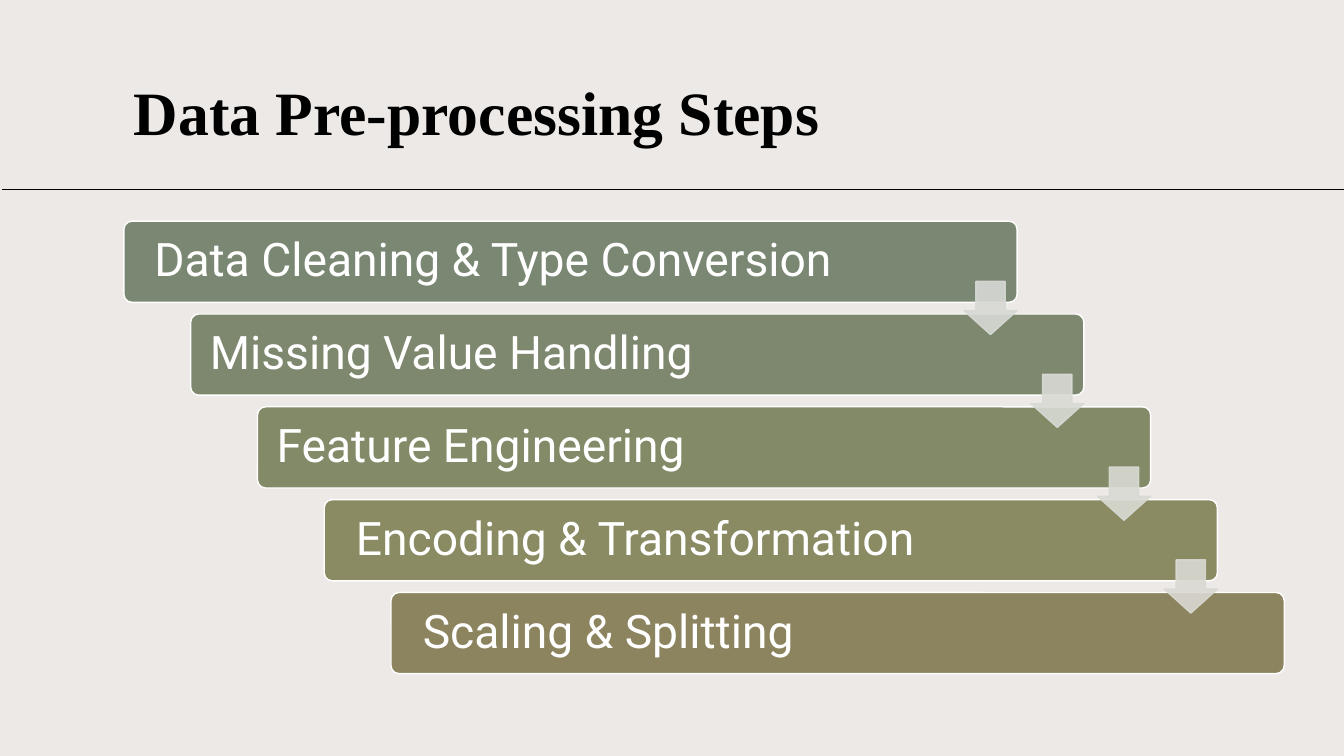
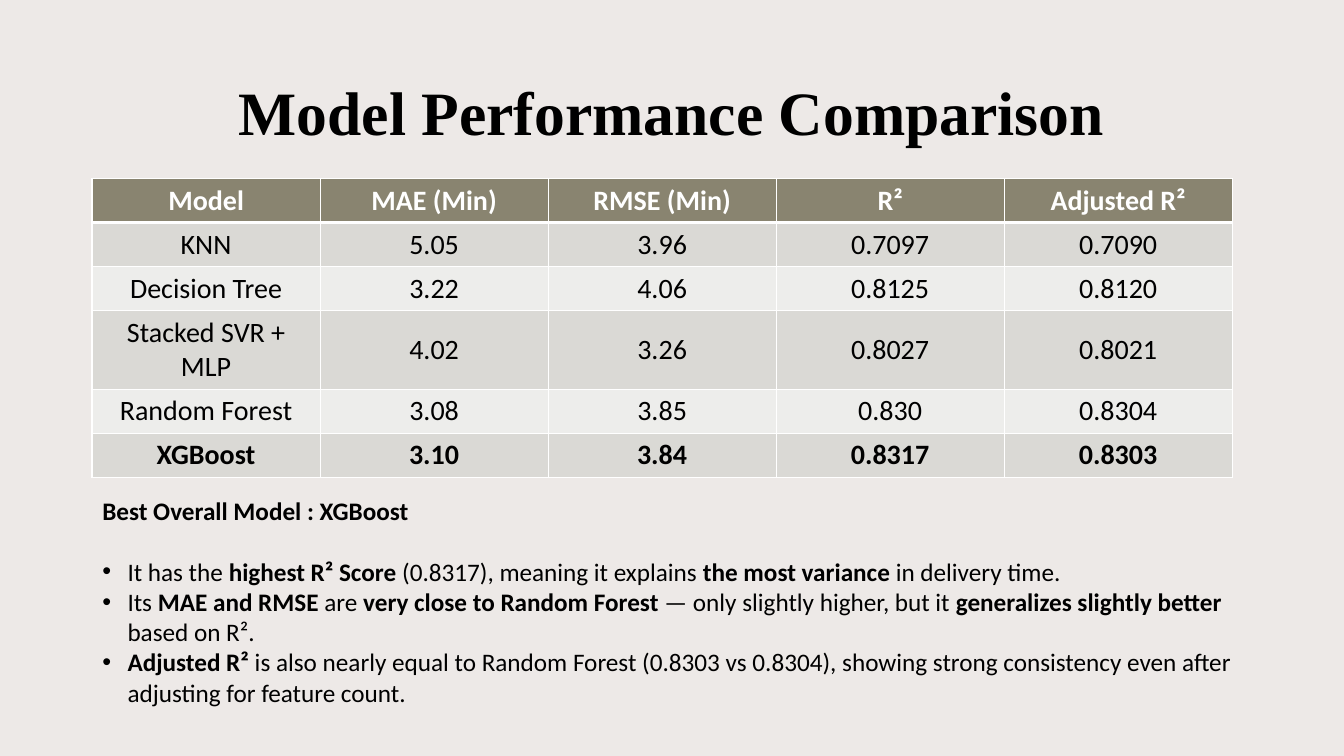
import pptx
import pptx.dml.color
import pptx.enum.shapes
import pptx.enum.text
import pptx.oxml
import pptx.oxml.ns
import pptx.util

Pt = pptx.util.Pt
ANCHOR = pptx.enum.text.MSO_ANCHOR
ALIGN = pptx.enum.text.PP_ALIGN
SHAPE = pptx.enum.shapes.MSO_SHAPE

# Content
STEPS_TITLE = "Data Pre-processing Steps"
# step, text indent in points, bar colour, colour of the arrow to the next step
STEPS = [
    ("Data Cleaning & Type Conversion", 8, "7A8773", "D7D9D5"),
    ("Missing Value Handling", 0, "7D886E", "D8DAD4"),
    ("Feature Engineering", 0, "828A68", "D9DAD3"),
    ("Encoding & Transformation", 9, "8A8B63", "DAD9D2"),
    ("Scaling & Splitting", 9, "8C845E", None),
]
MODELS_TITLE = "Model Performance Comparison"
SCORES = [
    ("Model", "MAE (Min)", "RMSE (Min)", "R²", "Adjusted R²"),
    ("KNN", "5.05", "3.96", "0.7097", "0.7090"),
    ("Decision Tree", "3.22", "4.06", "0.8125", "0.8120"),
    ("Stacked SVR + MLP", "4.02", "3.26", "0.8027", "0.8021"),
    ("Random Forest", "3.08", "3.85", "0.830", "0.8304"),
    ("XGBoost", "3.10", "3.84", "0.8317", "0.8303"),
]
ROW_HEIGHTS = [31.5, 31.5, 31.5, 56, 31.5, 31.5]
BEST_MODEL = "Best Overall Model : XGBoost"
# ** switches bold on and off
REASONS = [
    "It has the **highest R² Score** (0.8317), meaning it explains "
    "**the most variance** in delivery time.",
    "Its **MAE and RMSE** are **very close to Random Forest** — only slightly "
    "higher, but it **generalizes slightly better** based on R².",
    "**Adjusted R²** is also nearly equal to Random Forest (0.8303 vs 0.8304), "
    "showing strong consistency even after adjusting for feature count.",
]

# Shared style
COLORS = {"background": "EDE9E7", "text": "000000", "light": "FFFFFF",
          "header": "898470", "odd row": "DAD9D5", "even row": "EDEDEB"}
TITLE_FONT, STEP_FONT, BODY_FONT = "Times New Roman", "Roboto", "Calibri"


def rgb(value):
    return pptx.dml.color.RGBColor.from_string(value)


def add_run(paragraph, text, font, size, color, bold=False):
    run = paragraph.add_run()
    run.text = text
    run.font.name, run.font.size, run.font.bold = font, Pt(size), bold
    run.font.color.rgb = rgb(color)


def add_element(parent, tag, **attributes):
    element = pptx.oxml.parse_xml(f"<a:{tag} {pptx.oxml.ns.nsdecls('a')}/>")
    for name, value in attributes.items():
        element.set(name, str(value))
    parent.append(element)
    return element


def add_text_box(slide, left, top, width, height):
    frame = slide.shapes.add_textbox(Pt(left), Pt(top), Pt(width), Pt(height)).text_frame
    frame.word_wrap = True
    return frame


def add_slide(deck, title, left, width, align):
    slide = deck.slides.add_slide(deck.slide_layouts[6])
    slide.background.fill.solid()
    slide.background.fill.fore_color.rgb = rgb(COLORS["background"])
    frame = add_text_box(slide, left, 24, width, 86)
    frame.vertical_anchor = ANCHOR.BOTTOM
    heading = frame.paragraphs[0]
    heading.alignment, heading.line_spacing = align, 0.9
    add_run(heading, title, TITLE_FONT, 44, COLORS["text"], True)
    return slide


def add_block(slide, preset, box, adjustments, fill, line):
    block = slide.shapes.add_shape(preset, *map(Pt, box))
    block.shadow.inherit = False
    for index, value in enumerate(adjustments):
        block.adjustments[index] = value
    block.fill.solid()
    block.fill.fore_color.rgb = rgb(fill)
    block.line.color.rgb = rgb(line)
    block.line.width = Pt(1)
    return block


def add_steps(slide):
    # Rule below the title
    y = Pt(135.5)
    rule = slide.shapes.add_connector(
        pptx.enum.shapes.MSO_CONNECTOR.STRAIGHT, Pt(1.5), y, Pt(960), y)
    rule.line.color.rgb = rgb(COLORS["text"])
    rule.line.width = Pt(0.5)
    add_element(rule._element.spPr, "effectLst")

    # Staircase of bars
    left, top, step_x, step_y = 88.5, 158, 47.7, 66.3
    width, height, arrow_size, arrow_drop = 638, 58, 38, 43
    for i, (step, indent, fill, _) in enumerate(STEPS):
        bar = add_block(slide, SHAPE.ROUNDED_RECTANGLE,
                        (left + i * step_x, top + i * step_y, width, height),
                        [0.1], fill, COLORS["light"])
        frame = bar.text_frame
        frame.word_wrap = True
        frame.vertical_anchor = ANCHOR.MIDDLE
        frame.margin_left = Pt(12 + indent)
        label = frame.paragraphs[0]
        label.alignment, label.line_spacing = ALIGN.LEFT, 0.9
        add_run(label, step, STEP_FONT, 33, COLORS["light"])

    # Arrows, flush with the right end of the upper bar
    for i, (_, _, _, tint) in enumerate(STEPS[:-1]):
        arrow = add_block(slide, SHAPE.DOWN_ARROW,
                          (left + i * step_x + width - arrow_size,
                           top + i * step_y + arrow_drop, arrow_size, arrow_size),
                          [0.55, 0.45], tint, tint)
        for color in arrow._element.spPr.iter(pptx.oxml.ns.qn("a:srgbClr")):
            add_element(color, "alpha", val=90000)


def set_borders(cell, bottom):
    properties = cell._tc.get_or_add_tcPr()
    borders = []
    for side, weight in (("lnL", 1), ("lnR", 1), ("lnT", 1), ("lnB", bottom)):
        border = add_element(properties, side, w=Pt(weight))
        add_element(add_element(border, "solidFill"), "srgbClr", val=COLORS["light"])
        borders.append(border)
    # Borders come before the fill
    for position, border in enumerate(borders):
        properties.insert(position, border)


def add_scores(slide):
    columns, column_width = len(SCORES[0]), 162.9
    table = slide.shapes.add_table(
        len(SCORES), columns, Pt(65.75), Pt(127.5),
        Pt(columns * column_width), Pt(sum(ROW_HEIGHTS))).table
    for column in table.columns:
        column.width = Pt(column_width)
    for r, (values, height) in enumerate(zip(SCORES, ROW_HEIGHTS)):
        table.rows[r].height = Pt(height)
        is_header = r == 0
        fill = "header" if is_header else "odd row" if r % 2 else "even row"
        for c, value in enumerate(values):
            cell = table.cell(r, c)
            cell.vertical_anchor = ANCHOR.MIDDLE
            cell.fill.solid()
            cell.fill.fore_color.rgb = rgb(COLORS[fill])
            set_borders(cell, 3 if is_header else 1)
            paragraph = cell.text_frame.paragraphs[0]
            paragraph.alignment = ALIGN.CENTER
            add_run(paragraph, value, BODY_FONT, 20,
                    COLORS["light" if is_header else "text"],
                    is_header or r == len(SCORES) - 1)


def add_verdict(slide):
    frame = add_text_box(slide, 66, 350, 860, 181)
    verdict = frame.paragraphs[0]
    verdict.space_after = Pt(22)
    add_run(verdict, BEST_MODEL, BODY_FONT, 18, COLORS["text"], True)
    for reason in REASONS:
        paragraph = frame.add_paragraph()
        properties = paragraph._p.get_or_add_pPr()
        properties.set("marL", str(Pt(18)))
        properties.set("indent", str(-Pt(18)))
        add_element(properties, "buFont", typeface="Arial")
        add_element(properties, "buChar", char="•")
        for i, part in enumerate(reason.split("**")):
            if part:
                add_run(paragraph, part, BODY_FONT, 18, COLORS["text"], i % 2 == 1)


def main():
    deck = pptx.Presentation()
    deck.slide_width, deck.slide_height = Pt(960), Pt(540)
    add_steps(add_slide(deck, STEPS_TITLE, 88.5, 783, ALIGN.LEFT))
    models = add_slide(deck, MODELS_TITLE, 66, 828, ALIGN.CENTER)
    add_scores(models)
    add_verdict(models)
    deck.save("out.pptx")


if __name__ == "__main__":
    main()
